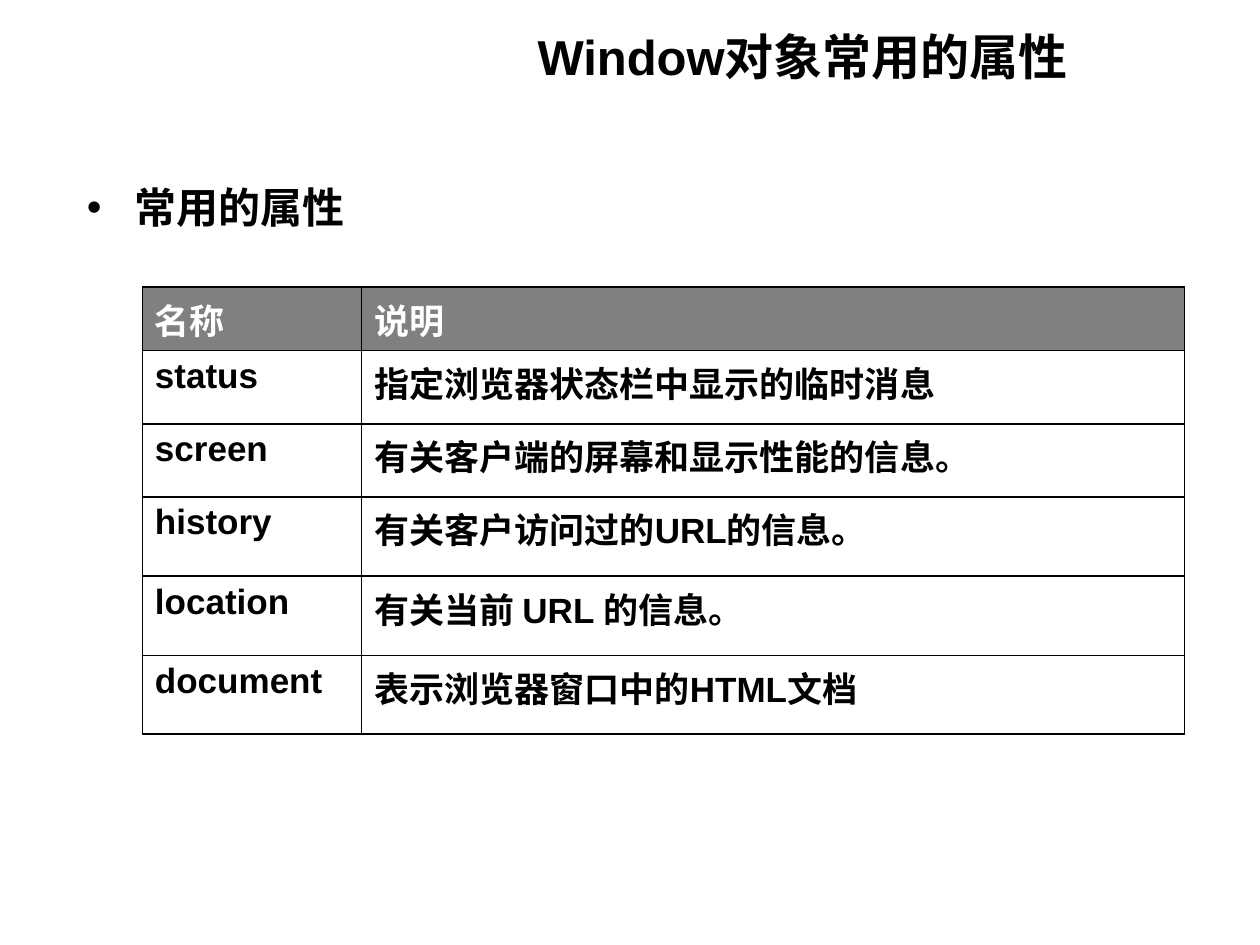
from dataclasses import dataclass

from lxml import etree
from pptx import Presentation
from pptx.dml.color import RGBColor
from pptx.enum.text import MSO_ANCHOR, MSO_AUTO_SIZE, PP_ALIGN
from pptx.oxml.ns import qn
from pptx.util import Inches, Pt

LEFT, RIGHT = PP_ALIGN.LEFT, PP_ALIGN.RIGHT
TOP, MIDDLE = MSO_ANCHOR.TOP, MSO_ANCHOR.MIDDLE
NO_AUTOFIT = MSO_AUTO_SIZE.NONE

COLORS = {"ink": "000000", "paper": "FFFFFF", "header": "808080"}
LATIN_FONT = "Arial"
CHINESE_FONT = "Noto Sans CJK SC"
THICK, THIN = 1.08, 0.45
COLUMN_WIDTHS = (1.74, 6.53)
ROW_HEIGHTS = (0.49, 0.58, 0.58, 0.63, 0.63, 0.62)


@dataclass(frozen=True)
class Property:
    name: str
    description: str


PROPERTIES = (
    Property("名称", "说明"),
    Property("status", "指定浏览器状态栏中显示的临时消息"),
    Property("screen", "有关客户端的屏幕和显示性能的信息。"),
    Property("history", "有关客户访问过的URL的信息。"),
    Property("location", "有关当前 URL 的信息。"),
    Property("document", "表示浏览器窗口中的HTML文档"),
)


def write_text(frame, text: str, *, size: float, color: str = "ink",
               font: str = LATIN_FONT, align=LEFT, before: float = 0) -> None:
    paragraph = frame.paragraphs[0]
    paragraph.alignment = align
    paragraph.space_before = Pt(before)
    span = paragraph.add_run()
    span.text = text
    span.font.size = Pt(size)
    span.font.bold = True
    span.font.name = font
    span.font.color.rgb = RGBColor.from_string(COLORS[color])
    east_asian = etree.SubElement(span.font._element, qn("a:ea"))
    east_asian.set("typeface", CHINESE_FONT)


def fill_placeholder(box, text: str, place: tuple[float, ...], *, anchor, **text_format) -> None:
    box.left, box.top, box.width, box.height = map(Inches, place)
    frame = box.text_frame
    frame.word_wrap = True
    frame.auto_size = NO_AUTOFIT
    frame.vertical_anchor = anchor
    write_text(frame, text, **text_format)


def set_borders(cell, widths: dict[str, float]) -> None:
    properties = cell._tc.get_or_add_tcPr()
    for side, width in widths.items():
        line = etree.SubElement(properties, qn(f"a:ln{side}"), w=str(Pt(width)))
        fill = etree.SubElement(line, qn("a:solidFill"))
        etree.SubElement(fill, qn("a:srgbClr"), val=COLORS["ink"])


def draw_property_table(page) -> None:
    frame = page.shapes.add_table(
        len(ROW_HEIGHTS), len(COLUMN_WIDTHS), Inches(1.13), Inches(2.28),
        Inches(sum(COLUMN_WIDTHS)), Inches(sum(ROW_HEIGHTS)))
    table = frame.table
    for column, width in zip(table.columns, COLUMN_WIDTHS):
        column.width = Inches(width)
    for row_index, (entry, height) in enumerate(zip(PROPERTIES, ROW_HEIGHTS)):
        table.rows[row_index].height = Inches(height)
        is_header = row_index == 0
        for column_index, text in enumerate((entry.name, entry.description)):
            is_first = column_index == 0
            cell = table.cell(row_index, column_index)
            set_borders(cell, {
                "L": THICK if is_first else THIN,
                "R": THIN if is_first else THICK,
                "T": THIN if row_index == 1 else THICK,
                "B": THIN if is_header else THICK,
            })
            cell.fill.solid()
            cell.fill.fore_color.rgb = RGBColor.from_string(
                COLORS["header" if is_header else "paper"])
            write_text(cell.text_frame, text, size=20, before=5,
                       color="paper" if is_header else "ink",
                       font=CHINESE_FONT if is_header else LATIN_FONT)


def main() -> None:
    deck = Presentation()
    deck.slide_width, deck.slide_height = Inches(10), Inches(7.5)
    page = deck.slides.add_slide(deck.slide_layouts[1])
    fill_placeholder(page.shapes.title, "Window对象常用的属性", (-0.43, 0.01, 9, 0.87),
                     anchor=MIDDLE, size=28, align=RIGHT)
    fill_placeholder(page.placeholders[1], "常用的属性", (0.59, 1.39, 9, 4.95),
                     anchor=TOP, size=24, before=6)
    draw_property_table(page)
    deck.save("out.pptx")


main()
